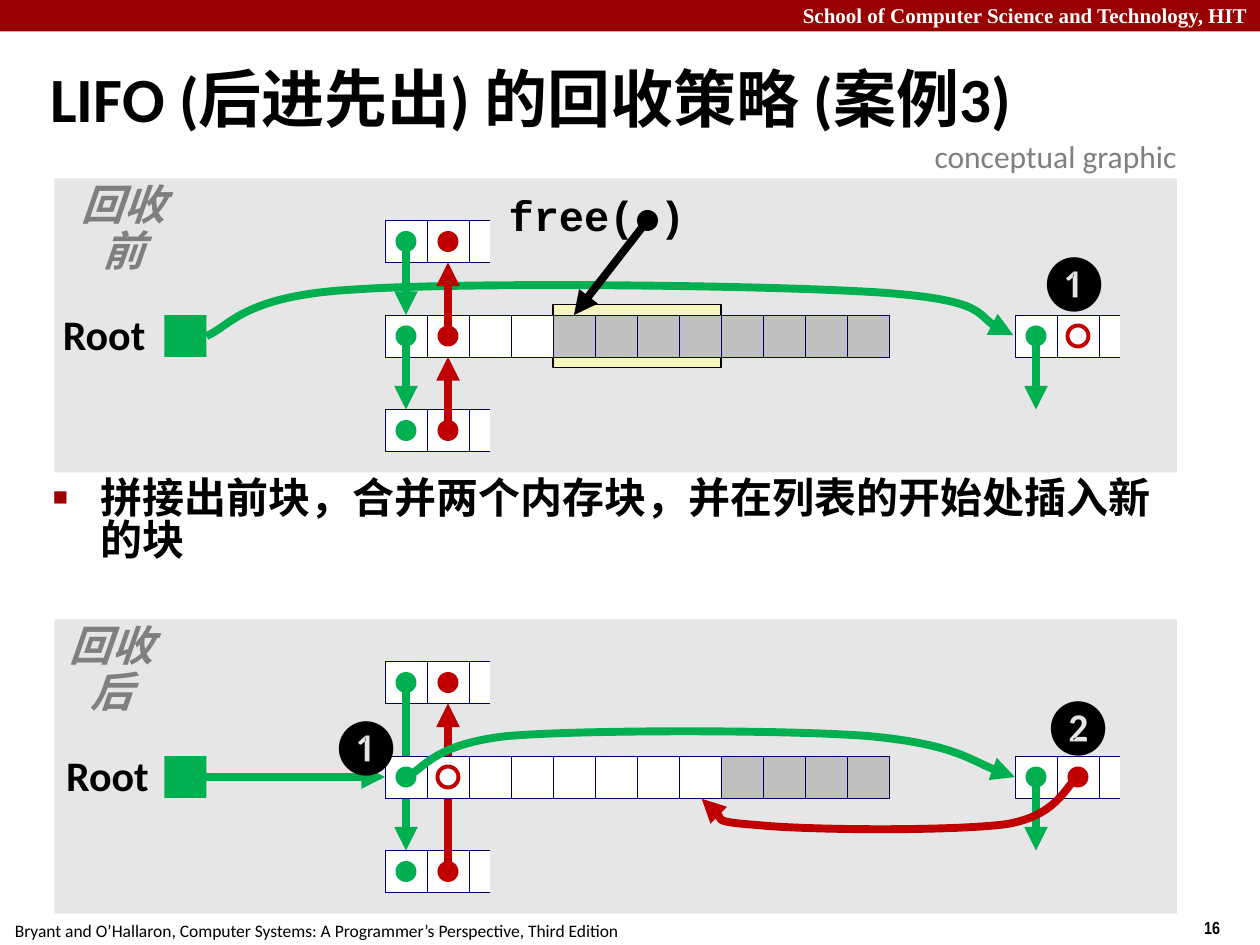
"""Build the slide on LIFO freeing, case 3, with the free list before and after."""
from lxml.etree import SubElement
from pptx import Presentation
from pptx.dml.color import RGBColor
from pptx.enum.shapes import MSO_CONNECTOR as Connector, MSO_SHAPE as Shape
from pptx.enum.text import MSO_ANCHOR as Anchor, MSO_AUTO_SIZE as AutoSize, PP_ALIGN as Align
from pptx.oxml.ns import qn
from pptx.util import Pt

BLACK = RGBColor(0x00, 0x00, 0x00)
WHITE = RGBColor(0xFF, 0xFF, 0xFF)
CRIMSON = RGBColor(0x99, 0x00, 0x00)
GREEN = RGBColor(0x00, 0xB0, 0x50)
RED = RGBColor(0xC0, 0x00, 0x00)
NAVY = RGBColor(0x00, 0x00, 0x66)
PANEL = RGBColor(0xE6, 0xE6, 0xE6)
ALLOCATED = RGBColor(0xC0, 0xC0, 0xC0)
YELLOW = RGBColor(0xF6, 0xF5, 0xBD)
GRAY = RGBColor(0x7F, 0x7F, 0x7F)

CELL = 24
HALF = CELL / 2
ROW_LEFT = 220
NEXT_X = ROW_LEFT + HALF
PREVIOUS_X = NEXT_X + CELL
REMOTE_LEFT = 580
REMOTE_X = REMOTE_LEFT + HALF
TOP, LEFT, BOTTOM, RIGHT = range(4)


class HeapSketch:
    """Style and current slide, with one method per kind of element."""

    font = "Calibri"
    stroke = 4.5
    dot_size = 12

    def __init__(self, slide):
        self.slide = slide

    def format(self, paragraph, size, color=BLACK, font=None, bold=True, italic=False):
        for run in paragraph.runs:
            run.font.name = font or self.font
            run.font.size = Pt(size)
            run.font.bold = bold
            run.font.italic = italic
            run.font.color.rgb = color

    def text(self, words, left, top, width, height, size, inset=7.2, align=Align.LEFT,
             spacing=1.0, wrap=False, **style):
        box = self.slide.shapes.add_textbox(Pt(left), Pt(top), Pt(width), Pt(height))
        frame = box.text_frame
        frame.text = words
        frame.word_wrap = wrap
        frame.auto_size = AutoSize.SHAPE_TO_FIT_TEXT
        frame.margin_left = frame.margin_right = Pt(inset)
        paragraph = frame.paragraphs[0]
        paragraph.alignment = align
        paragraph.line_spacing = spacing
        self.format(paragraph, size, **style)

    def label(self, words, left, top, width, **style):
        self.text(words, left, top, width, 33, 24, inset=3.6, align=Align.CENTER,
                  spacing=0.9, **style)

    def placeholder(self, index, words, left, top, width, height, size, hanging, spacing):
        holder = self.slide.placeholders[index]
        holder.left, holder.top, holder.width, holder.height = map(Pt, (left, top, width, height))
        frame = holder.text_frame
        frame.text = words
        frame.auto_size = AutoSize.NONE
        paragraph = frame.paragraphs[0]
        paragraph.alignment = Align.LEFT
        paragraph.line_spacing = spacing
        paragraph.space_before = Pt(0)
        properties = paragraph._p.get_or_add_pPr()
        properties.set("marL", str(Pt(hanging)))
        properties.set("indent", str(-Pt(hanging)))
        self.format(paragraph, size)
        return frame

    def title(self, words):
        frame = self.placeholder(0, words, 21.6, 28, 686, 62, 36, 9.4, 0.87)
        frame.vertical_anchor = Anchor.MIDDLE

    def bullet(self, words):
        frame = self.placeholder(1, words, 23, 270, 654.5, 62, 24, 27, 0.85)
        frame.vertical_anchor = Anchor.TOP
        properties = frame.paragraphs[0]._p.get_or_add_pPr()
        color = SubElement(properties, qn("a:buClr"))
        SubElement(color, qn("a:srgbClr"), val=str(CRIMSON))
        SubElement(properties, qn("a:buSzPct"), val="60000")
        SubElement(properties, qn("a:buChar"), char="■")

    def shape(self, kind, left, top, width, height, fill=None, line=None, weight=0.25, parent=None):
        shape = (parent or self.slide).shapes.add_shape(
            kind, Pt(left), Pt(top), Pt(width), Pt(height))
        shape.shadow.inherit = False
        if fill is None:
            shape.fill.background()
        else:
            shape.fill.solid()
            shape.fill.fore_color.rgb = fill
        if line is None:
            shape.line.fill.background()
        else:
            shape.line.color.rgb = line
            shape.line.width = Pt(weight)
        return shape

    def box(self, left, top, width, height, **style):
        return self.shape(Shape.RECTANGLE, left, top, width, height, **style)

    def cells(self, left, top, fills, parent=None):
        return [self.box(left + CELL * i, top, CELL, CELL, fill=fill, line=NAVY, parent=parent)
                for i, fill in enumerate(fills)]

    def cut_block(self, left, top):
        group = self.slide.shapes.add_group_shape()
        cells = self.cells(left, top, [WHITE] * 3, group)
        self.box(left + 2.5 * CELL, top - 6, CELL, 36, fill=PANEL, parent=group)
        return cells

    def circle(self, x, y, **style):
        radius = self.dot_size / 2
        self.shape(Shape.OVAL, x - radius, y - radius, self.dot_size, self.dot_size, **style)

    def dot(self, x, y, color):
        self.circle(x, y, fill=color)

    def ring(self, x, y):
        self.circle(x, y, line=RED, weight=2.25)

    def stroke_arrow(self, shape, color):
        shape.line.color.rgb = color
        shape.line.width = Pt(self.stroke)
        SubElement(shape._element.spPr.get_or_add_ln(), qn("a:tailEnd"), type="triangle")

    def arrow(self, start, end, color, source=None, target=None):
        connector = self.slide.shapes.add_connector(Connector.STRAIGHT, *map(Pt, start + end))
        if source:
            connector.begin_connect(*source)
        if target:
            connector.end_connect(*target)
        self.stroke_arrow(connector, color)
        SubElement(connector._element.spPr, qn("a:effectLst"))

    def curve(self, points, color):
        start, *rest = [(Pt(x), Pt(y)) for x, y in points]
        builder = self.slide.shapes.build_freeform(*start)
        builder.add_line_segments(rest, close=False)
        shape = builder.convert_to_shape()
        outline = next(shape._element.iter(qn("a:path")))
        segments = outline.findall(qn("a:lnTo"))
        for first in range(0, len(segments), 3):
            bezier = SubElement(outline, qn("a:cubicBezTo"))
            for segment in segments[first:first + 3]:
                bezier.append(segment[0])
                outline.remove(segment)
        shape.fill.background()
        shape.shadow.inherit = False
        self.stroke_arrow(shape, color)

    def panel(self, middle, caption, caption_left, root_left):
        self.box(31, middle - 78, 641.5, 168, fill=PANEL)
        self.label(caption, caption_left, middle - 78, 79, color=GRAY, italic=True)
        self.label("Root", root_left, middle - 4, 55)
        root = self.box(94, middle, CELL, CELL, fill=GREEN)
        above = self.cut_block(ROW_LEFT, middle - 54)
        below = self.cut_block(ROW_LEFT, middle + 54)
        self.cut_block(REMOTE_LEFT, middle)
        return root, above, below

    def link_dots(self, middle):
        center = middle + HALF
        for y in (center - 54, center + 54):
            self.dot(NEXT_X, y, GREEN)
            self.dot(PREVIOUS_X, y, RED)
        self.dot(NEXT_X, center, GREEN)
        self.dot(REMOTE_X, center, GREEN)
        self.arrow((REMOTE_X, center), (REMOTE_X, center + 42), GREEN)


def draw_before(sketch, middle):
    center = middle + HALF
    _, above, below = sketch.panel(middle, "回收前", 31, 32)
    sketch.box(316, middle - 6, 4 * CELL, 36, fill=YELLOW, line=BLACK, weight=0.75)
    sketch.curve([(118, 192), (131, 187), (138, 169), (202, 165.5), (266, 161), (436, 163),
                  (500, 167), (562, 171), (562, 186.5), (579, 191.5)], GREEN)
    row = sketch.cells(ROW_LEFT, middle, [WHITE] * 4 + [ALLOCATED] * 8)
    for y, upper, lower in ((center, above, row), (center + 54, row, below)):
        sketch.arrow((NEXT_X, y - 54), (NEXT_X, y - HALF), GREEN, target=(lower[0], TOP))
        sketch.arrow((PREVIOUS_X, y), (PREVIOUS_X, y - 42), RED, target=(upper[1], BOTTOM))
    sketch.link_dots(middle)
    sketch.dot(PREVIOUS_X, center, RED)
    sketch.ring(REMOTE_X + CELL, center)
    sketch.label("free( )", 287, 108, 108, font="Courier New")
    sketch.dot(370, 126, BLACK)
    sketch.arrow((370, 126), (328, middle), BLACK, target=(row[4], TOP))


def draw_after(sketch, middle):
    center = middle + HALF
    root, above, below = sketch.panel(middle, "回收后", 24, 34)
    sketch.arrow((PREVIOUS_X, center + 54), (PREVIOUS_X, middle - 30), RED,
                 target=(above[1], BOTTOM))
    sketch.arrow((NEXT_X, center - 54), (NEXT_X, middle + 54), GREEN, target=(below[0], TOP))
    row = sketch.cells(ROW_LEFT, middle, [WHITE] * 8 + [ALLOCATED] * 4)
    sketch.link_dots(middle)
    sketch.dot(REMOTE_X + CELL, center, RED)
    sketch.arrow((118, center), (ROW_LEFT, center), GREEN, (root, RIGHT), (row[0], LEFT))
    sketch.ring(PREVIOUS_X, center)
    sketch.curve([(232, 444), (242, 440), (247, 425), (291, 420.5), (335, 417), (447, 417),
                  (495, 420.5), (544, 425), (562, 439), (580, 444)], GREEN)
    sketch.curve([(616, 444), (609, 448.5), (605, 466), (575, 471), (544, 475), (462, 474.5),
                  (433, 471.5), (405, 469.5), (407.5, 460), (401, 456.5)], RED)


def main():
    presentation = Presentation()
    presentation.slide_width, presentation.slide_height = Pt(720), Pt(540)
    sketch = HeapSketch(presentation.slides.add_slide(presentation.slide_layouts[1]))
    sketch.box(0, 0, 720, 18, fill=CRIMSON)
    sketch.text("School of Computer Science and Technology, HIT", 0, -2, 720, 22, 12,
                align=Align.RIGHT, wrap=True, color=WHITE, font="Times New Roman")
    sketch.text("16", 681, 520.5, 28, 19, 10, font="Arial Narrow")
    sketch.text("Bryant and O’Hallaron, Computer Systems: A Programmer’s Perspective, Third Edition",
                1.4, 522, 361, 19, 10, bold=False)
    sketch.title("LIFO (后进先出) 的回收策略 (案例3)")
    sketch.bullet("拼接出前块，合并两个内存块，并在列表的开始处插入新的块")
    draw_before(sketch, 180)
    draw_after(sketch, 432)
    sketch.text("conceptual graphic", 527, 75, 153, 29, 18, color=GRAY, bold=False)
    for number, left, top in (("❶", 586, 137.5), ("❶", 181, 402.5), ("❷", 588, 391)):
        sketch.text(number, left, top, 47, 46, 32, wrap=True, bold=False)
    presentation.save("out.pptx")


if __name__ == "__main__":
    main()
